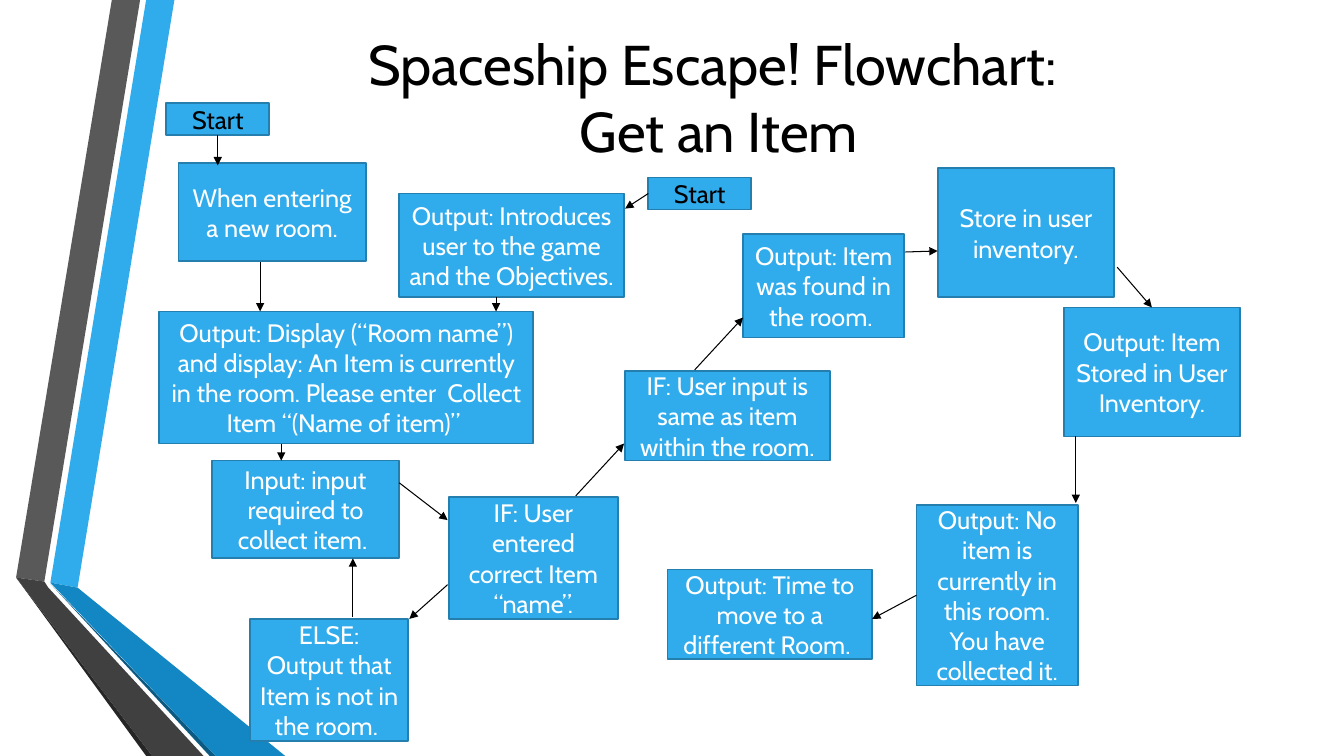
from lxml import etree
from pptx import Presentation
from pptx.dml.color import RGBColor
from pptx.enum.shapes import MSO_CONNECTOR as CONN, MSO_SHAPE as SHAPE
from pptx.enum.text import MSO_ANCHOR as ANCHOR, PP_ALIGN as ALIGN
from pptx.oxml.ns import qn
from pptx.util import Inches, Pt

FONT = "Cabin"
COLORS = {
    "blue": "30ACEC", "edge": "247FAF", "deep": "1287C3", "navy": "0C5A82",
    "grey": "595959", "charcoal": "404040", "soot": "262626",
    "black": "000000", "white": "FFFFFF",
}
TOP, LEFT, BOTTOM = 0, 1, 2

# Folded ribbons on the left: colour, corner points
RIBBONS = [
    ("blue", [(0.5, 5.78), (0.77, 5.83), (1.73, 0), (1.45, 0)]),
    ("grey", [(1.39, 0), (1.11, 0), (0.16, 5.73), (0.44, 5.77)]),
    ("soot", [(0.16, 5.73), (1.45, 7.5), (1.51, 7.5)]),
    ("navy", [(0.5, 5.79), (2.08, 7.5), (2.14, 7.5)]),
    ("deep", [(0.5, 5.78), (2.14, 7.5), (2.83, 7.5), (0.77, 5.83)]),
    ("charcoal", [(2.02, 7.5), (0.48, 5.83), (0.44, 5.77), (0.16, 5.73), (1.51, 7.5)]),
]

# Flowchart boxes: name -> (left, top, width, height), text, text colour
BOXES = {
    "game start": ((6.43, 1.76, 1.02, 0.32), "Start", "black"),
    "intro": ((3.96, 1.92, 2.23, 1.03),
              "Output: Introduces user to the game and the Objectives.", "white"),
    "display": ((1.58, 3.09, 3.71, 1.31),
                "Output: Display (“Room name”) and display: An Item is currently in the room. "
                "Please enter  Collect Item “(Name of item)” ", "white"),
    "input": ((2.1, 4.57, 1.86, 0.97), "Input: input required to collect item. ", "white"),
    "if name": ((4.45, 4.93, 1.68, 1.21), "IF: User entered correct Item “name”.", "white"),
    "if same": ((6.2, 3.68, 2.03, 0.89),
                "IF: User input is same as item within the room.", "white"),
    "else": ((2.48, 6.14, 1.57, 1.21), "ELSE: Output that Item is not in the room. ", "white"),
    "found": ((7.37, 2.32, 1.6, 1.03), "Output: Item was found in the room. ", "white"),
    "stored": ((10.55, 3.05, 1.75, 1.28), "Output: Item Stored in User Inventory.", "white"),
    "no item": ((9.09, 5.01, 1.6, 1.79),
                "Output: No item is currently in this room. You have collected it.", "white"),
    "move on": ((6.62, 5.65, 2.03, 0.89), "Output: Time to move to a different Room. ", "white"),
    "store": ((9.3, 1.67, 1.75, 1.28), "Store in user inventory.", "white"),
    "new room": ((1.77, 1.62, 1.86, 0.97), "When entering a new room.", "white"),
    "room start": ((1.65, 1.02, 1.02, 0.32), "Start", "black"),
}

# Arrows: from, to, joined start (box, side), joined end (box, side)
ARROWS = [
    ((6.43, 1.92), (6.2, 2.07), ("game start", LEFT), None),
    ((4.92, 2.95), (4.92, 3.09), None, None),
    ((2.79, 4.4), (2.79, 4.57), None, None),
    ((3.96, 4.79), (4.44, 5.16), None, None),
    ((5.71, 4.92), (6.19, 4.4), None, None),
    ((4.44, 5.8), (4.06, 6.14), None, None),
    ((3.5, 6.12), (3.5, 5.54), None, None),
    ((6.89, 3.67), (7.37, 3.15), None, None),
    ((8.98, 2.5), (9.3, 2.49), None, None),
    ((10.67, 4.33), (10.67, 4.99), None, None),
    ((9.09, 5.9), (8.65, 6.14), ("no item", LEFT), None),
    ((11.08, 2.65), (11.42, 3.05), None, ("stored", TOP)),
    ((2.16, 1.34), (2.16, 1.64), ("room start", BOTTOM), None),
    ((2.58, 2.6), (2.58, 3.09), None, None),
]


def rgb(name):
    return RGBColor.from_string(COLORS[name])


def set_text(sp, text, size=18, color="white"):
    tf = sp.text_frame
    tf.word_wrap = True
    tf.vertical_anchor = ANCHOR.MIDDLE
    p = tf.paragraphs[0]
    p.text = text
    p.alignment = ALIGN.CENTER
    for r in p.runs:
        r.font.name = FONT
        r.font.size = Pt(size)
        r.font.color.rgb = rgb(color)


def add_ribbon(s, color, points):
    corners = [(Inches(x), Inches(y)) for x, y in points]
    builder = s.shapes.build_freeform(*corners[0])
    builder.add_line_segments(corners[1:], close=True)
    sp = builder.convert_to_shape()
    sp.shadow.inherit = False
    sp.fill.solid()
    sp.fill.fore_color.rgb = rgb(color)
    sp.line.fill.background()


def add_box(s, bounds, text, color):
    sp = s.shapes.add_shape(SHAPE.RECTANGLE, *map(Inches, bounds))
    sp.shadow.inherit = False
    sp.fill.solid()
    sp.fill.fore_color.rgb = rgb("blue")
    sp.line.color.rgb = rgb("edge")
    sp.line.width = Pt(1.25)
    set_text(sp, text, color=color)
    return sp


def add_arrow(s, start, end, boxes, begin_joint, end_joint):
    line = s.shapes.add_connector(CONN.STRAIGHT, *map(Inches, start + end))
    if begin_joint:
        line.begin_connect(boxes[begin_joint[0]], begin_joint[1])
    if end_joint:
        line.end_connect(boxes[end_joint[0]], end_joint[1])
    line.line.color.rgb = rgb("black")
    line.line.width = Pt(0.75)
    # Arrowhead, and no shadow
    etree.SubElement(line.line._get_or_add_ln(), qn("a:tailEnd"), type="triangle")
    etree.SubElement(line._element.spPr, qn("a:effectLst"))


def main():
    prs = Presentation()
    prs.slide_width, prs.slide_height = Inches(13.33), Inches(7.5)
    s = prs.slides.add_slide(prs.slide_layouts[6])

    # Decoration
    for color, points in RIBBONS:
        add_ribbon(s, color, points)

    # Title
    title = s.shapes.add_textbox(*map(Inches, (1.65, 0, 10.96, 1.92)))
    set_text(title, "Spaceship Escape! Flowchart: \vGet an Item", size=40, color="black")

    # Flowchart
    boxes = {name: add_box(s, *box) for name, box in BOXES.items()}
    for start, end, begin_joint, end_joint in ARROWS:
        add_arrow(s, start, end, boxes, begin_joint, end_joint)

    prs.save("out.pptx")


if __name__ == "__main__":
    main()
